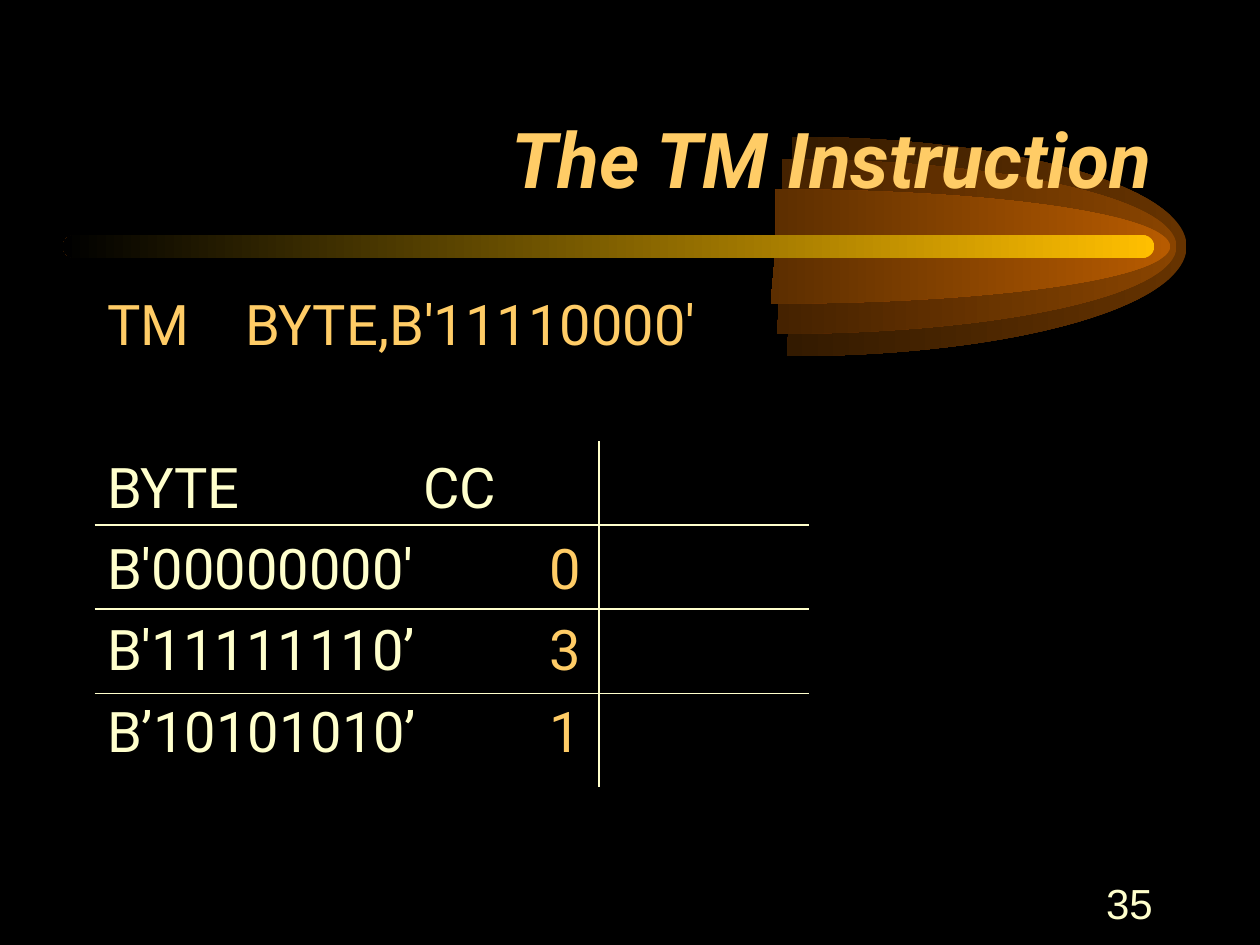
from lxml import etree
from pptx import Presentation
from pptx.dml.color import RGBColor
from pptx.enum import shapes, text
from pptx.oxml.ns import qn
from pptx.util import Cm, Pt

GOLD, CREAM, FACE = "FFCC66", "FFFFCC", "Roboto"


def rgb(code):
    return RGBColor.from_string(code)


def style(run, size, color, face=FACE):
    run.font.size, run.font.name = Pt(size), face
    run.font.color.rgb = rgb(color)


def fade(shape, right, left):
    """Fill with a gradient that runs from the right edge to the left."""
    shape.shadow.inherit = False
    shape.line.fill.background()
    shape.fill.gradient()
    shape.fill.gradient_angle = 180
    for stop, color, pos in zip(shape.fill.gradient_stops, (right, left), (0, 1)):
        stop.color.rgb, stop.position = rgb(color), pos


def bend(shape):
    """Turn the first six straight segments into two Bezier curves."""
    lines = list(shape._element.iter(qn("a:lnTo")))[:6]
    for start in (0, 3):
        curve = etree.Element(qn("a:cubicBezTo"))
        lines[start].addprevious(curve)
        for line in lines[start:start + 3]:
            curve.append(line[0])
            line.getparent().remove(line)


def flame(slide, x, mid, rx, ry, right, left):
    """Half-ellipse that opens to the right, slightly slanted on the left."""
    k, slant = 0.5523, -0.013
    units = ((0, -1), (k, -1), (1, -k), (1, 0), (1, k), (k, 1), (slant, 1), (0, 0))
    pts = [(Cm(x + rx * a), Cm(mid + ry * b)) for a, b in units]
    path = slide.shapes.build_freeform(*pts[0])
    path.add_line_segments(pts[1:], close=True)
    shape = path.convert_to_shape()
    bend(shape)
    fade(shape, right, left)


def comet(slide, x, y, w, h):
    """Glowing bar with three half-ellipses around its right end."""
    mid = y + h / 2
    # Flames: offset, half height, colours at right and left
    for dx, ry, right, left in ((14.7, 2.21, "663300", "331A00"),
                                (14.5, 1.76, "894400", "452200"),
                                (14.37, 1.15, "B75B00", "5C2E00")):
        flame(slide, x + dx, mid, 7.95, ry, right, left)
    # Bar
    bar = slide.shapes.add_shape(shapes.MSO_SHAPE.ROUNDED_RECTANGLE,
                                 Cm(x), Cm(y), Cm(w), Cm(h))
    bar.adjustments[0] = 0.5
    fade(bar, "FFBF00", "000000")


def heading(slide, x, y, w, h):
    title = slide.shapes.title
    title.left, title.top, title.width, title.height = map(Cm, (x, y, w, h))
    frame = title.text_frame
    frame.text = "The TM Instruction"
    frame.auto_size = text.MSO_AUTO_SIZE.NONE
    frame.vertical_anchor = text.MSO_ANCHOR.BOTTOM
    para = frame.paragraphs[0]
    para.alignment = text.PP_ALIGN.RIGHT
    run = para.runs[0]
    style(run, 44, GOLD)
    run.font.bold = run.font.italic = True
    # Bring the title in front of the comet
    slide.shapes._spTree.append(title._element)


def box(slide, x, y, w, h):
    frame = slide.shapes.add_textbox(*map(Cm, (x, y, w, h))).text_frame
    frame.word_wrap = True
    return frame


def body(slide, x, y, w, h):
    frame = box(slide, x, y, w, h)
    # Each row: label, value, their colours, tab stop, space before
    rows = (("TM", "BYTE,B'11110000'", GOLD, GOLD, 2.79, 8),
            ("BYTE", "CC", CREAM, CREAM, 6.37, 54.5),
            ("B'00000000'", "0", CREAM, GOLD, 8.91, 8),
            ("B'11111110’", "3", CREAM, GOLD, 8.91, 8),
            ("B’10101010’", "1", CREAM, GOLD, 8.91, 8))
    for i, (label, value, first, second, stop, gap) in enumerate(rows):
        para = frame.paragraphs[0] if i == 0 else frame.add_paragraph()
        para.space_before = Pt(gap)
        for words, color in ((label + "\t", first), (value, second)):
            run = para.add_run()
            run.text = words
            style(run, 32, color)
        tabs = etree.SubElement(para._p.get_or_add_pPr(), qn("a:tabLst"))
        etree.SubElement(tabs, qn("a:tab"), pos=str(Cm(stop)), algn="l")


def rule(slide, *ends):
    line = slide.shapes.add_connector(shapes.MSO_CONNECTOR.STRAIGHT, *map(Cm, ends))
    line.line.color.rgb, line.line.width = rgb(CREAM), Pt(1)
    etree.SubElement(line._element.spPr, qn("a:effectLst"))


def grid(slide, x, y, w, h):
    rule(slide, x + 10.16, y, x + 10.16, y + h)
    for i in range(3):
        level = y + 1.69 + i * 1.7
        rule(slide, x, level, x + w, level)


def number(slide, x, y, w, h):
    frame = box(slide, x, y, w, h)
    frame.text = "35"
    frame.vertical_anchor = text.MSO_ANCHOR.MIDDLE
    para = frame.paragraphs[0]
    para.alignment = text.PP_ALIGN.RIGHT
    style(para.runs[0], 24, CREAM, "Arial")


def main():
    deck = Presentation()
    deck.slide_width, deck.slide_height = Cm(25.4), Cm(19.05)
    slide = deck.slides.add_slide(deck.slide_layouts[5])
    slide.background.fill.solid()
    slide.background.fill.fore_color.rgb = rgb("000000")
    comet(slide, 1.27, 4.74, 22, 0.46)
    heading(slide, 1.91, 1.06, 21.58, 3.18)
    body(slide, 1.91, 5.72, 21.58, 11.43)
    grid(slide, 1.91, 8.89, 14.39, 6.98)
    number(slide, 18.2, 17.57, 5.29, 1.27)
    deck.save("out.pptx")


if __name__ == "__main__":
    main()
